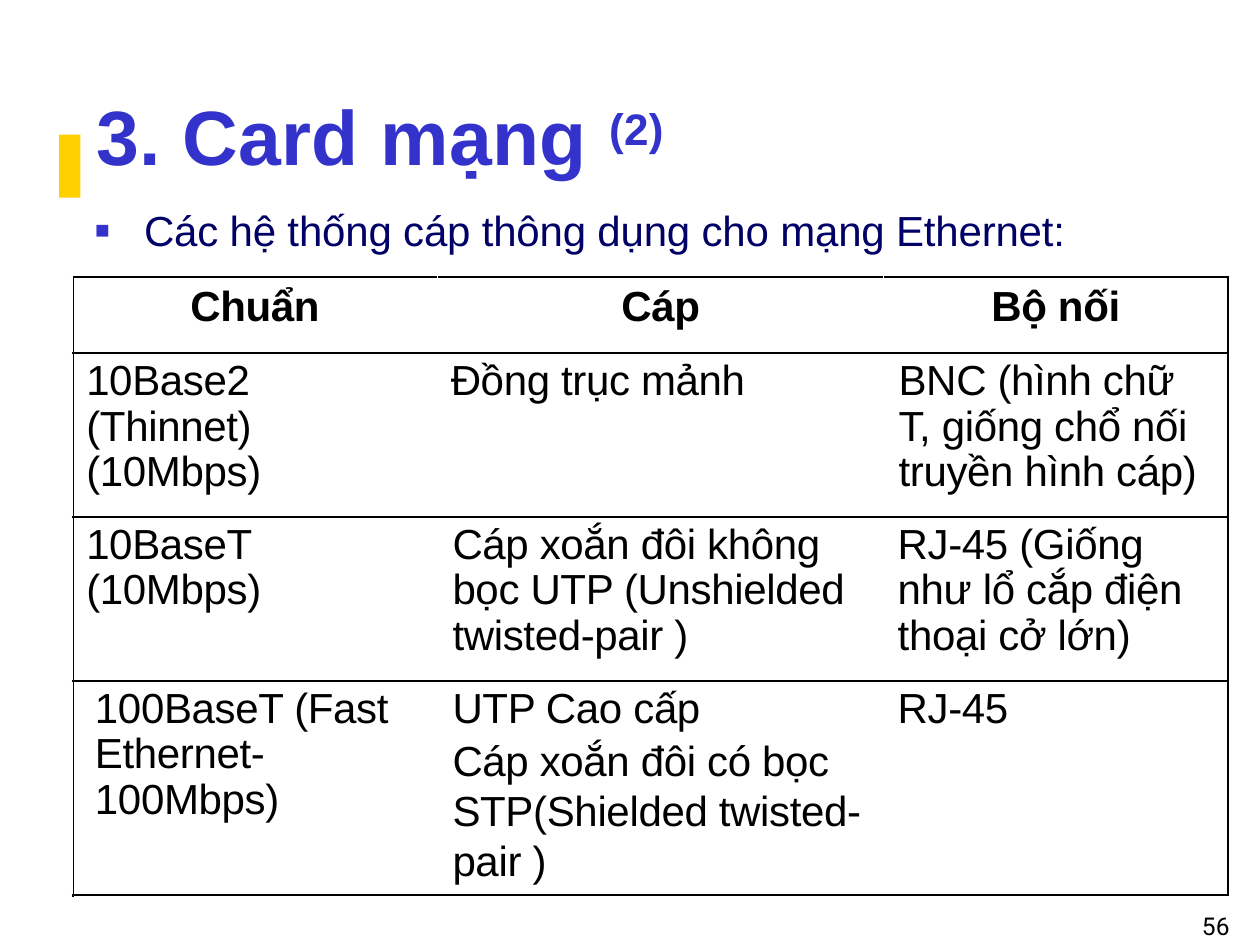
from lxml.etree import SubElement
from pptx import Presentation
from pptx.dml.color import RGBColor
from pptx.enum.shapes import MSO_CONNECTOR, MSO_SHAPE
from pptx.enum.text import PP_ALIGN
from pptx.oxml.ns import qn
from pptx.util import Pt

BLUE, NAVY, BLACK, YELLOW = "3333CC", "000066", "000000", "FFCF00"
COLUMNS = [208.8, 254.9, 196.6]
ROWS = [43.4, 93.7, 93.7, 122.3]
HEADER = ["Chuẩn", "Cáp", "Bộ nối"]
# Each cell: left margin, then its paragraphs
BODY = [
    [(8, "10Base2\n(Thinnet)\n(10Mbps)"),
     (7.5, "Đồng trục mảnh"),
     (8.5, "BNC (hình chữ\nT, giống chổ nối\ntruyền hình cáp)")],
    [(8, "10BaseT\n(10Mbps)"),
     (8.5, "Cáp xoắn đôi không\nbọc UTP (Unshielded\ntwisted-pair )"),
     (8, "RJ-45 (Giống\nnhư lổ cắp điện\nthoại cở lớn)")],
    [(13, "100BaseT (Fast\nEthernet-\n100Mbps)"),
     (8.5, "UTP Cao cấp", "Cáp xoắn đôi có bọc\nSTP(Shielded twisted-\npair )"),
     (8, "RJ-45")],
]


def rgb(color):
    return RGBColor.from_string(color)


def write(p, text, size=24, color=BLACK, bold=False, font="Arial",
          spacing=0.0, raised=0):
    """Add text to a paragraph; newlines become line breaks."""
    for i, line in enumerate(text.split("\n")):
        if i:
            p.add_line_break()
        r = p.add_run()
        r.text = line
        r.font.size, r.font.name, r.font.bold = Pt(size), font, bold
        r.font.color.rgb = rgb(color)
        rPr = r._r.get_or_add_rPr()
        if spacing:
            rPr.set("spc", str(round(spacing * 100)))
        if raised:
            rPr.set("baseline", str(raised * 1000))


def add_bullet(p, char, color, percent, indent):
    pPr = p._p.get_or_add_pPr()
    pPr.set("marL", str(Pt(indent)))
    pPr.set("indent", str(-Pt(indent)))
    SubElement(SubElement(pPr, qn("a:buClr")), qn("a:srgbClr"), val=color)
    SubElement(pPr, qn("a:buSzPct"), val=str(percent * 1000))
    SubElement(pPr, qn("a:buFont"), typeface="Arial")
    SubElement(pPr, qn("a:buChar"), char=char)


def set_borders(cell, sides, color, width):
    tcPr = cell._tc.get_or_add_tcPr()
    for i, side in enumerate(sides):
        ln = tcPr.makeelement(qn(f"a:ln{side}"), {"w": str(Pt(width))})
        fill = SubElement(ln, qn("a:solidFill"))
        SubElement(fill, qn("a:srgbClr"), val=color)
        tcPr.insert(i, ln)


class SlideBuilder:
    def __init__(self, prs, line_color=BLACK, line_width=1):
        self.s = prs.slides.add_slide(prs.slide_layouts[6])
        self.line_color, self.line_width = line_color, line_width

    def text_box(self, x, y, w, h, top=1.5):
        """Add an empty box and return its first paragraph."""
        tf = self.s.shapes.add_textbox(Pt(x), Pt(y), Pt(w), Pt(h)).text_frame
        tf.word_wrap = True
        tf.margin_left = tf.margin_right = tf.margin_bottom = 0
        tf.margin_top = Pt(top)
        return tf.paragraphs[0]

    def block(self, x, y, w, h, color):
        sp = self.s.shapes.add_shape(MSO_SHAPE.RECTANGLE, Pt(x), Pt(y), Pt(w), Pt(h))
        sp.shadow.inherit = False
        sp.fill.solid()
        sp.fill.fore_color.rgb = rgb(color)
        sp.line.fill.background()

    def line(self, x1, y1, x2, y2):
        c = self.s.shapes.add_connector(
            MSO_CONNECTOR.STRAIGHT, Pt(x1), Pt(y1), Pt(x2), Pt(y2))
        c.line.color.rgb = rgb(self.line_color)
        c.line.width = Pt(self.line_width)
        SubElement(c._element.spPr, qn("a:effectLst"))

    def table(self, x, y, columns, rows):
        table = self.s.shapes.add_table(
            len(rows), len(columns), Pt(x), Pt(y),
            Pt(sum(columns)), Pt(sum(rows))).table
        table.first_row = table.horz_banding = False
        for column, width in zip(table.columns, columns):
            column.width = Pt(width)
        for row, height in zip(table.rows, rows):
            row.height = Pt(height)
        for cell in table.iter_cells():
            cell.fill.background()
            cell.margin_left = cell.margin_right = cell.margin_bottom = 0
            cell.margin_top = Pt(3.5)
            set_borders(cell, "RTB", self.line_color, self.line_width)
        return table


def fill_table(table):
    for c, heading in enumerate(HEADER):
        p = table.cell(0, c).text_frame.paragraphs[0]
        p.alignment = PP_ALIGN.CENTER
        write(p, heading, bold=True, spacing=-0.2)
    for r, row in enumerate(BODY, 1):
        for c, (left, *paragraphs) in enumerate(row):
            cell = table.cell(r, c)
            cell.margin_left = Pt(left)
            tf = cell.text_frame
            for i, text in enumerate(paragraphs):
                p = tf.add_paragraph() if i else tf.paragraphs[0]
                p.line_spacing = Pt(28.5) if i else 0.97
                if i:
                    p.space_before = Pt(1.7)
                write(p, text, spacing=-0.2)


def main():
    prs = Presentation()
    prs.slide_width, prs.slide_height = Pt(720), Pt(540)
    slide = SlideBuilder(prs)

    slide.block(33.8, 77, 12.2, 36, YELLOW)

    title = slide.text_box(55.4, 49, 400, 55.4)
    write(title, "3. Card mạng ", size=44, color=BLUE, bold=True, spacing=0.1)
    write(title, "(2)", size=43.5, color=BLUE, bold=True, spacing=0.2, raised=26)

    intro = slide.text_box(54.3, 116, 580, 31, top=1)
    add_bullet(intro, "■", BLUE, 58, 28)
    write(intro, "Các hệ thống cáp thông dụng cho mạng Ethernet:",
          color=NAVY, spacing=-0.1)

    slide.line(41.8, 158.4, 41.8, 512.6)
    fill_table(slide.table(41.3, 158.4, COLUMNS, ROWS))

    number = slide.text_box(686.8, 519, 22, 19.4)
    write(number, "56", size=14, font="Roboto", spacing=0.1)

    prs.save("out.pptx")


if __name__ == "__main__":
    main()
